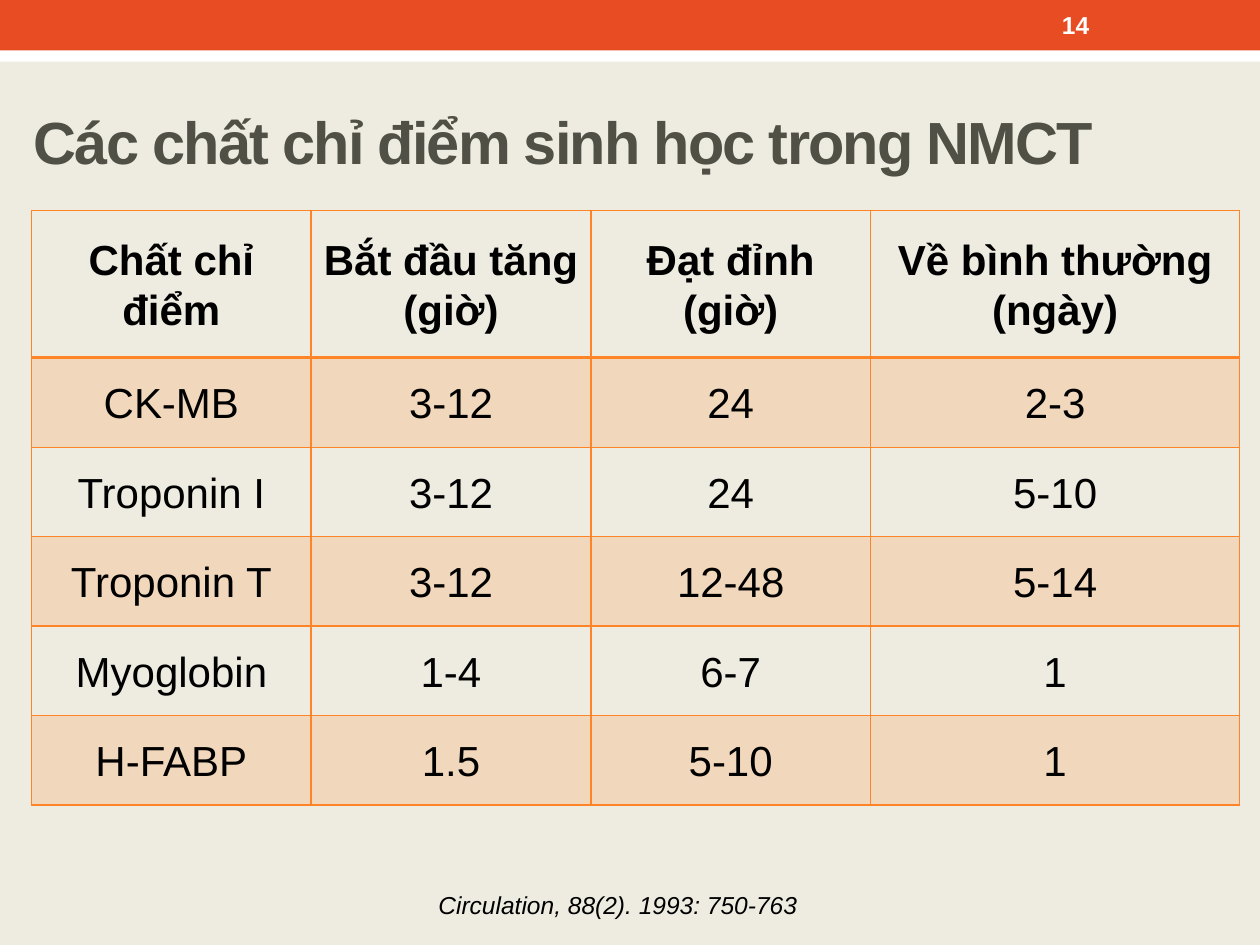
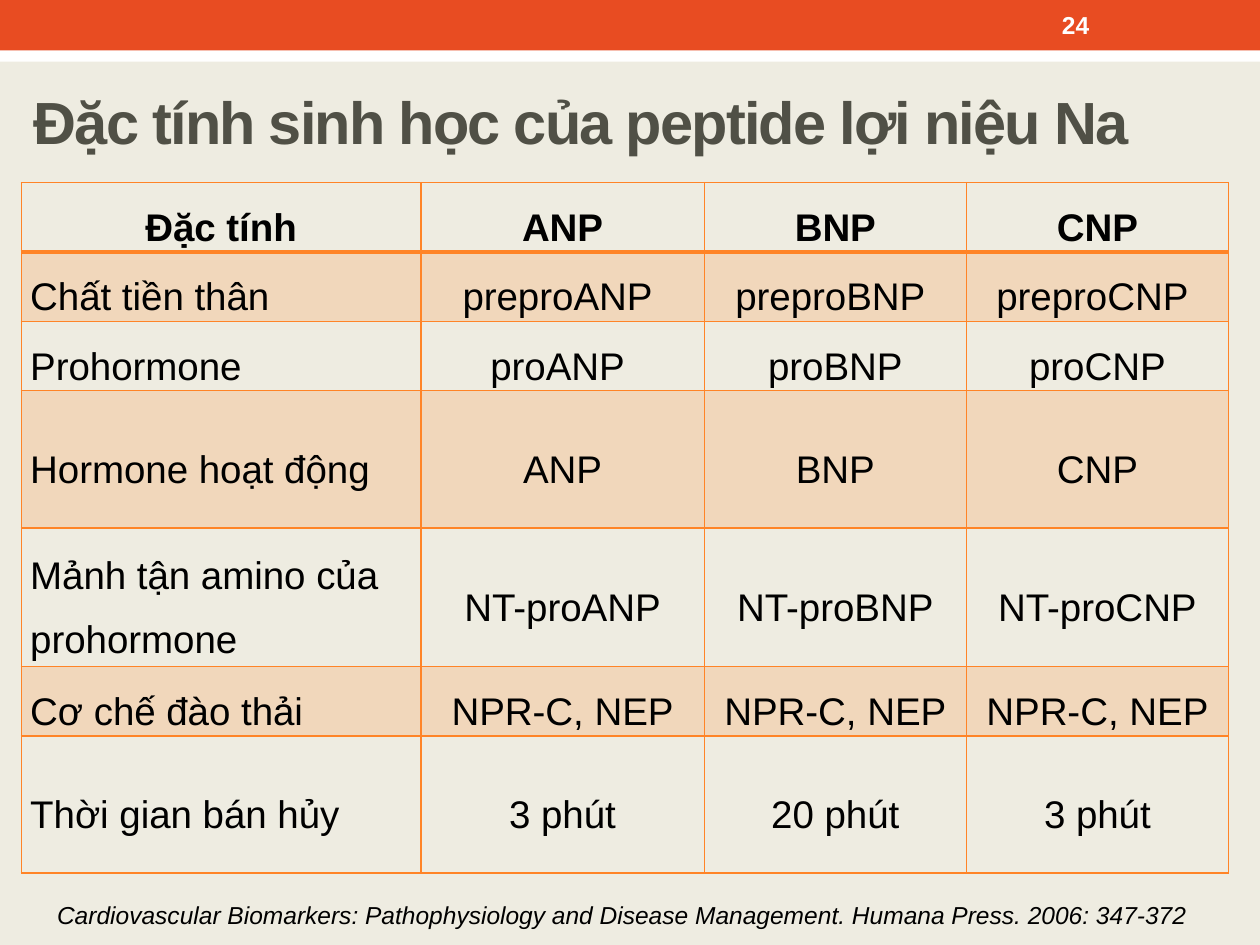
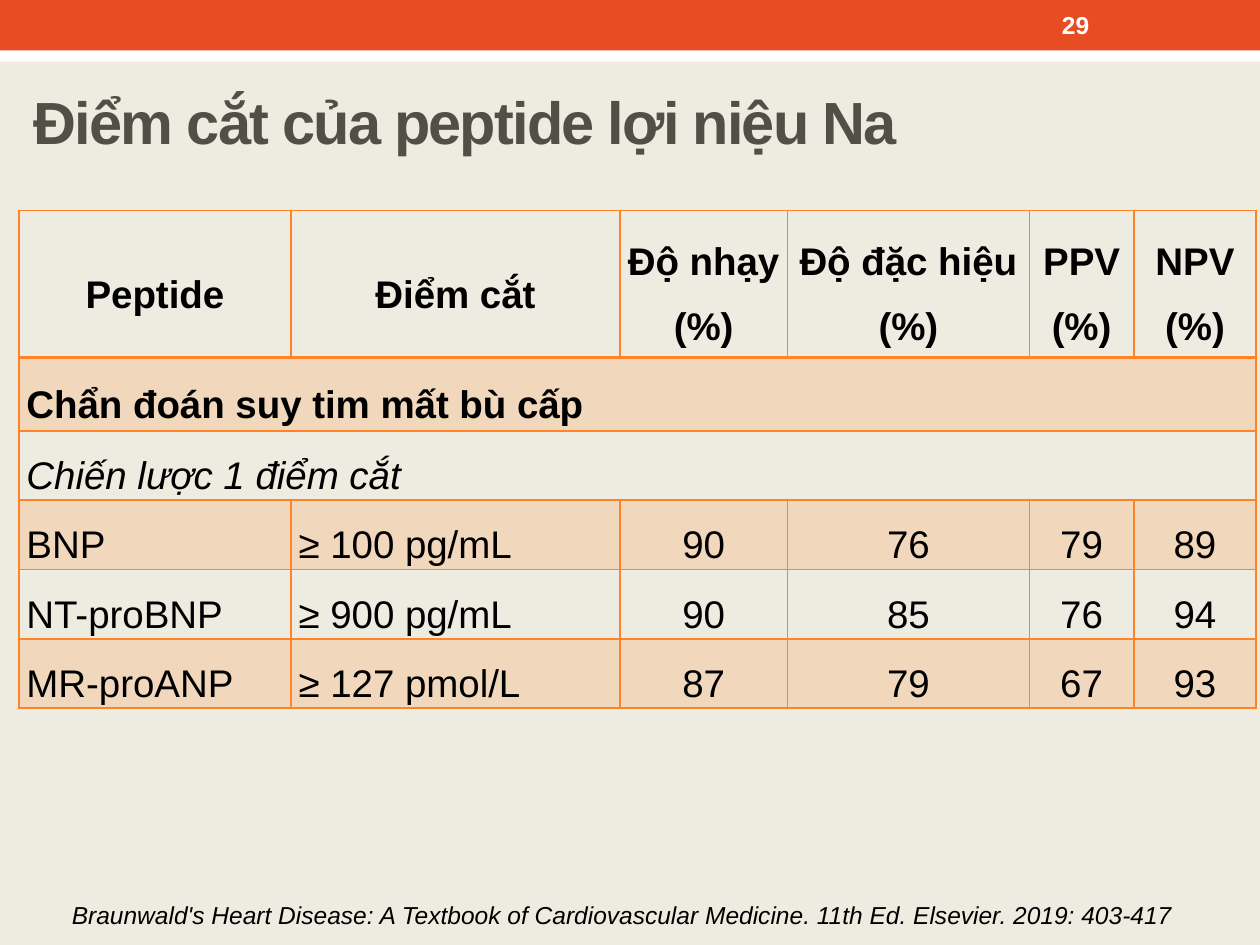
import pptx
import pptx.util
import pptx.dml.color
import pptx.enum.shapes
import pptx.enum.text
import pptx.oxml
import pptx.oxml.ns
from pptx.util import Inches

RGB = pptx.dml.color.RGBColor
CREAM = RGB(0xEE, 0xEC, 0xE1)
RED = RGB(0xE8, 0x4C, 0x22)
WHITE = RGB(0xFF, 0xFF, 0xFF)
GREY = RGB(0x50, 0x50, 0x46)
BLACK = RGB(0, 0, 0)
ORANGE = RGB(0xFF, 0x84, 0x27)

FONT = "Arial"
BARE = "{2D5ABB26-0587-4C30-8999-92F81FD0307C}"  # table style without grid
ALIGN = pptx.enum.text.PP_ALIGN
MIDDLE = pptx.enum.text.MSO_ANCHOR.MIDDLE
NS = pptx.oxml.ns.nsdecls("a")

# Content: a row with one entry spans the whole table
MARKERS = [
    ("Chất chỉ điểm", "Bắt đầu tăng\n(giờ)", "Đạt đỉnh\n(giờ)", "Về bình thường\n(ngày)"),
    ("CK-MB", "3-12", "24", "2-3"),
    ("Troponin I", "3-12", "24", "5-10"),
    ("Troponin T", "3-12", "12-48", "5-14"),
    ("Myoglobin", "1-4", "6-7", "1"),
    ("H-FABP", "1.5", "5-10", "1"),
]
TRAITS = [
    ("Đặc tính", "ANP", "BNP", "CNP"),
    ("Chất tiền thân", "preproANP ", "preproBNP ", "preproCNP "),
    ("Prohormone", "proANP ", "proBNP", "proCNP"),
    ("Hormone hoạt động", "ANP", "BNP", "CNP"),
    ("Mảnh tận amino của prohormone", "NT-proANP", "NT-proBNP", "NT-proCNP"),
    ("Cơ chế đào thải", "NPR-C, NEP", "NPR-C, NEP", "NPR-C, NEP"),
    ("Thời gian bán hủy", "3 phút", "20 phút", "3 phút"),
]
CUTOFFS = [
    ("Peptide", "Điểm cắt", "Độ nhạy\n(%)", "Độ đặc hiệu (%)", "PPV\n(%)", "NPV\n(%)"),
    ("Chẩn đoán suy tim mất bù cấp",),
    ("Chiến lược 1 điểm cắt",),
    ("BNP", "≥ 100 pg/mL", "90", "76", "79", "89"),
    ("NT-proBNP", "≥ 900 pg/mL", "90", "85", "76", "94"),
    ("MR-proANP", "≥ 127 pmol/L", "87", "79", "67", "93"),
]

LOW = (0.3, 7.08, 9.28, 0.35)
HIGH = (0.17, 0.42, 9.33, 1.08)
SLIDES = [
    dict(number="14", title="Các chất chỉ điểm sinh học trong NMCT",
         head=(0.17, 0.58, 8.96, 1.08),
         source="Circulation, 88(2). 1993: 750-763", foot=(0.39, 7, 9.03, 0.33),
         rows=MARKERS, spot=(0.25, 1.67), widths=[2.22] * 3 + [2.93],
         heights=[1.17] + [0.71] * 5, size=24, lead=1.07, pad=0.07),
    dict(number="24", title="Đặc tính sinh học của peptide lợi niệu Na", head=HIGH,
         source="Cardiovascular Biomarkers: Pathophysiology and Disease Management. "
                "Humana Press. 2006: 347-372", foot=LOW,
         rows=TRAITS, spot=(0.17, 1.45), widths=[3.17, 2.25, 2.08, 2.08],
         heights=[0.53] * 3 + [1.09] * 2 + [0.53, 1.09],
         size=22, lead=1.5, pad=0.07, aligns={0: ALIGN.LEFT}),
    dict(number="29", title="Điểm cắt của peptide lợi niệu Na", head=HIGH,
         source="Braunwald's Heart Disease: A Textbook of Cardiovascular Medicine. "
                "11th Ed. Elsevier. 2019: 403-417", foot=LOW,
         rows=CUTOFFS, spot=(0.15, 1.67), widths=[2.16, 2.61, 1.33, 1.92, 0.83, 0.97],
         heights=[1.17, 0.58] + [0.51] * 3 + [0.55],
         size=22, lead=1.5, pad=0.06, aligns={0: ALIGN.JUSTIFY, 1: ALIGN.JUSTIFY},
         tight=(2, 3), bold=(0, 1), italic=(2,)),
]


def style(frame, text, size, color=BLACK, bold=False, italic=False,
          align=ALIGN.LEFT, lead=None, spacing=None):
    frame.text = text
    frame.word_wrap = True
    for para in frame.paragraphs:
        para.alignment = align
        para.line_spacing = lead
        for run in para.runs:
            font = run.font
            font.name, font.size = FONT, pptx.util.Pt(size)
            font.bold, font.italic = bold, italic
            font.color.rgb = color
            if spacing:
                run._r.get_or_add_rPr().set("spc", str(spacing))


def add_band(slide, top, height, color):
    band = slide.shapes.add_shape(pptx.enum.shapes.MSO_SHAPE.RECTANGLE,
                                  0, Inches(top), Inches(10), Inches(height))
    band.shadow.inherit = False
    band.fill.solid()
    band.fill.fore_color.rgb = color
    band.line.fill.background()


def add_text(slide, place, text, size, **look):
    frame = slide.shapes.add_textbox(*map(Inches, place)).text_frame
    style(frame, text, size, **look)
    return frame


def paint(cell, tinted, top, bottom, sides):
    """Fill a cell and draw its borders, with widths in points."""
    props = cell._tc.get_or_add_tcPr()
    if tinted:
        cell.fill.solid()
        cell.fill.fore_color.rgb = ORANGE
        tint = props.find(".//" + pptx.oxml.ns.qn("a:srgbClr"))
        tint.append(pptx.oxml.parse_xml(f'<a:alpha {NS} val="20000"/>'))
    else:
        cell.fill.background()
    widths = {"L": 1, "R": 1, "T": top, "B": bottom}
    for spot, side in enumerate(sides):
        props.insert(spot, pptx.oxml.parse_xml(
            f'<a:ln{side} {NS} w="{pptx.util.Pt(widths[side])}"><a:solidFill>'
            f'<a:srgbClr val="{ORANGE}"/></a:solidFill></a:ln{side}>'))


def add_grid(slide, data):
    rows, widths, heights = data["rows"], data["widths"], data["heights"]
    place = (*data["spot"], sum(widths), sum(heights))
    grid = slide.shapes.add_table(len(rows), len(widths), *map(Inches, place)).table
    grid._tbl.tblPr.find(pptx.oxml.ns.qn("a:tableStyleId")).text = BARE
    grid.first_row = grid.horz_banding = False
    for col, width in zip(grid.columns, widths):
        col.width = Inches(width)
    for r, (row, height) in enumerate(zip(rows, heights)):
        grid.rows[r].height = Inches(height)
        whole = len(row) == 1
        if whole:
            grid.cell(r, 0).merge(grid.cell(r, len(widths) - 1))
        for c in range(len(widths)):
            cell = grid.cell(r, c)
            paint(cell, r % 2 == 1, 2 if r == 1 else 1, 2 if r == 0 else 1,
                  "TB" if cell.is_spanned else "LRTB")
            if cell.is_spanned:
                continue
            # Text and margins
            align = ALIGN.CENTER
            if whole:
                align = ALIGN.LEFT
            elif r:
                align = data.get("aligns", {}).get(c, align)
            style(cell.text_frame, row[c], data["size"], align=align, lead=data["lead"],
                  bold=r in data.get("bold", (0,)), italic=r in data.get("italic", ()))
            pad = 0.02 if r == 0 and c in data.get("tight", ()) else data["pad"]
            cell.margin_left = cell.margin_right = Inches(pad)
            cell.margin_top = cell.margin_bottom = 0
            cell.vertical_anchor = MIDDLE


def add_page(deck, data):
    slide = deck.slides.add_slide(deck.slide_layouts[6])
    # Bands and page number
    add_band(slide, 0.24, 0.25, WHITE)
    add_band(slide, 0, 0.4, RED)
    number = add_text(slide, (8.33, 0.02, 1.17, 0.36), data["number"], 14,
                      color=WHITE, bold=True)
    # Title, table and source
    title = add_text(slide, data["head"], data["title"], 34,
                     color=GREY, bold=True, spacing=-100)
    number.vertical_anchor = title.vertical_anchor = MIDDLE
    add_grid(slide, data)
    source = add_text(slide, data["foot"], data["source"], 14,
                      italic=True, align=ALIGN.CENTER, lead=1.07)
    source.auto_size = pptx.enum.text.MSO_AUTO_SIZE.SHAPE_TO_FIT_TEXT


def main():
    deck = pptx.Presentation()
    deck.slide_width, deck.slide_height = Inches(10), Inches(7.5)
    back = deck.slide_master.background.fill
    back.solid()
    back.fore_color.rgb = CREAM
    for data in SLIDES:
        add_page(deck, data)
    deck.save("out.pptx")


if __name__ == "__main__":
    main()
